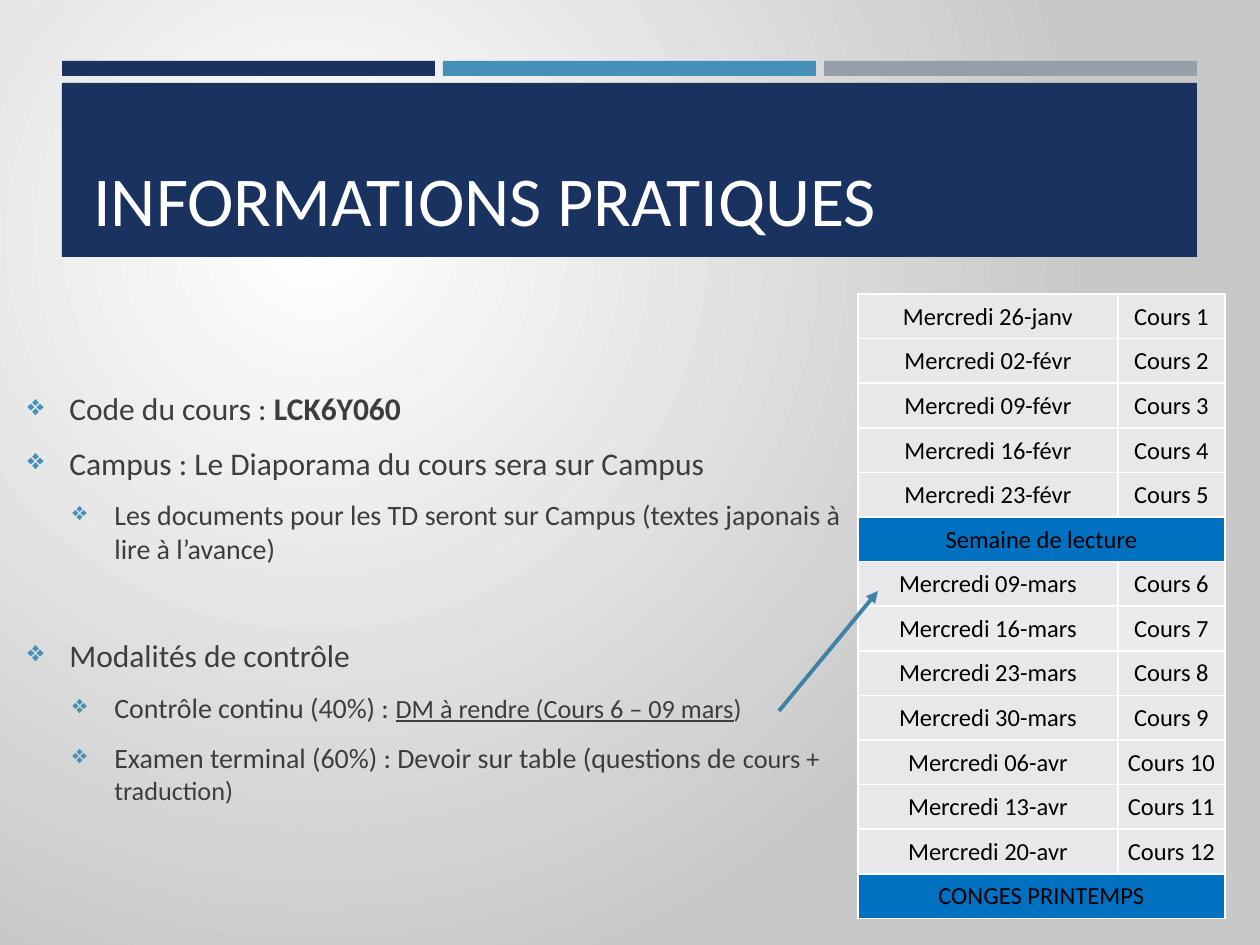
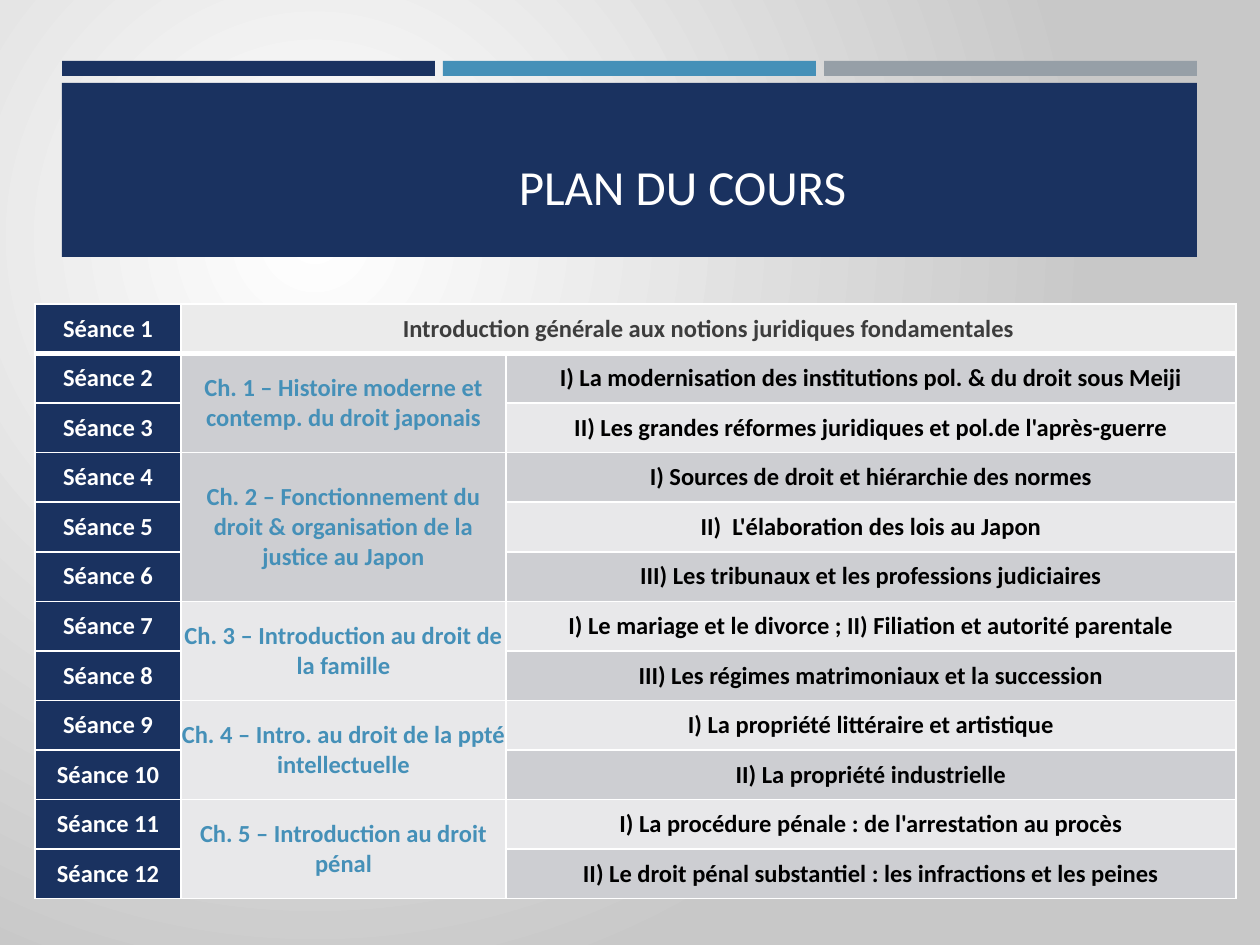
import pptx
import pptx.util
import pptx.dml.color
import pptx.enum.shapes
import pptx.enum.text
import pptx.oxml
import pptx.oxml.ns
import lxml.etree

FONT = "Calibri"
HUES = {
    "navy": "1A3260", "blue": "4590B8", "gray": "969FA7", "arrow": "3E82A6",
    "white": "FFFFFF", "edge": "C8C8C8", "ink": "3D3D3D", "black": "000000",
    "break": "0070C0", "light": "E8E8EA", "dark": "CDCED2", "pale": "EBEBEB",
}
ALIGN = pptx.enum.text.PP_ALIGN
ANCHOR = pptx.enum.text.MSO_ANCHOR

NOTES = [
    (0, 0, [("Code du cours : ", 18, ""), ("LCK6Y060", 18, "b")]),
    (0, 0, [("Campus : Le Diaporama du cours sera sur Campus", 18, "")]),
    (1, 0, [("Les documents pour les TD seront sur Campus (textes japonais à "
             "lire à l’avance)", 16, "")]),
    (0, 31, [("Modalités de contrôle", 18, "")]),
    (1, 0, [("Contrôle continu (40%) : ", 16, ""),
            ("DM à rendre (Cours 6 – 09 mars", 15, "u"), (")", 15, "")]),
    (1, 0, [("Examen terminal (60%) : Devoir sur table (questions de ", 16, ""),
            ("cours + traduction)", 15, "")]),
]
DATES = ["26-janv", "02-févr", "09-févr", "16-févr", "23-févr", "Semaine de lecture",
         "09-mars", "16-mars", "23-mars", "30-mars", "06-avr", "13-avr", "20-avr",
         "CONGES PRINTEMPS"]
INTRO = "Introduction générale aux notions juridiques fondamentales"
PLAN = [
    ("Ch. 1 – Histoire moderne et contemp. du droit japonais", [
        "I) La modernisation des institutions pol. & du droit sous Meiji",
        "II) Les grandes réformes juridiques et pol.de l'après-guerre"]),
    ("Ch. 2 – Fonctionnement du droit & organisation de la justice au Japon", [
        "I) Sources de droit et hiérarchie des normes",
        "II)  L'élaboration des lois au Japon",
        "III) Les tribunaux et les professions judiciaires"]),
    ("Ch. 3 – Introduction au droit de la famille", [
        "I) Le mariage et le divorce ; II) Filiation et autorité parentale",
        "III) Les régimes matrimoniaux et la succession"]),
    ("Ch. 4 – Intro. au droit de la ppté intellectuelle", [
        "I) La propriété littéraire et artistique",
        "II) La propriété industrielle"]),
    ("Ch. 5 – Introduction au droit pénal", [
        "I) La procédure pénale : de l'arrestation au procès",
        "II) Le droit pénal substantiel : les infractions et les peines"]),
]


def px(num):
    """Turn px at 126 to the inch into EMU."""
    return pptx.util.Emu(round(num * 914400 / 126))


def rgb(hue):
    """Look up a named colour."""
    return pptx.dml.color.RGBColor.from_string(HUES[hue])


def node(root, tag, **attrs):
    """Append a drawing element to root."""
    item = lxml.etree.SubElement(root, pptx.oxml.ns.qn(tag))
    for key, val in attrs.items():
        item.set(key, str(val))
    return item


def add_run(para, text, size, hue, style=""):
    """Add one run; style holds b for bold and u for underline."""
    run = para.add_run()
    run.text = text
    font = run.font
    font.name, font.size = FONT, pptx.util.Pt(size)
    font.bold, font.underline = "b" in style, "u" in style
    font.color.rgb = rgb(hue)


def add_bar(slide, box, hue):
    """Draw a plain filled band."""
    bar = slide.shapes.add_shape(
        pptx.enum.shapes.MSO_SHAPE.RECTANGLE, *map(px, box))
    bar.shadow.inherit = False
    bar.fill.solid()
    bar.fill.fore_color.rgb = rgb(hue)
    bar.line.fill.background()


def add_frame(slide, box, anchor):
    """Add a wrapping text box and return its frame."""
    frame = slide.shapes.add_textbox(*map(px, box)).text_frame
    frame.word_wrap = True
    frame.vertical_anchor = anchor
    return frame


def add_back(slide):
    """Give the slide its round gradient."""
    fill = slide.background.fill
    fill.gradient()
    for stop, hue in zip(fill.gradient_stops, ("white", "edge")):
        stop.color.rgb = rgb(hue)
    grad = slide.element.find(".//" + pptx.oxml.ns.qn("a:gradFill"))
    grad.remove(grad.find(pptx.oxml.ns.qn("a:lin")))
    ring = node(grad, "a:path", path="circle")
    node(ring, "a:fillToRect", l=50000, t=50000, r=100000, b=100000)


def add_page(deck, title, box, size, align):
    """Add a slide with backdrop, bands and title."""
    slide = deck.slides.add_slide(deck.slide_layouts[6])
    add_back(slide)
    for idx, hue in enumerate(("navy", "blue", "gray")):
        add_bar(slide, (62 + 381 * idx, 61, 373, 15), hue)
    add_bar(slide, (62, 83, 1135, 174), "navy")
    para = add_frame(slide, box, ANCHOR.BOTTOM).paragraphs[0]
    para.alignment = align
    add_run(para, title, size, "white")
    return slide


def add_notes(slide, box):
    """Write the bulleted course notes."""
    frame = add_frame(slide, box, ANCHOR.MIDDLE)
    for idx, (level, gap, runs) in enumerate(NOTES):
        para = frame.add_paragraph() if idx else frame.paragraphs[0]
        para.level = level
        para.space_before = pptx.util.Pt(3.5 + gap)
        para.space_after = pptx.util.Pt(6)
        props = para._p.get_or_add_pPr()
        props.set("marL", str(px(42 + 45 * level)))
        props.set("indent", str(-px(42)))
        node(node(props, "a:buClr"), "a:srgbClr", val=HUES["blue"])
        node(props, "a:buSzPct", val=92000)
        node(props, "a:buChar", char="❖")
        for text, size, style in runs:
            add_run(para, text, size, "ink", style)


def add_grid(slide, box, cols, count):
    """Add a table with equal rows and white rules."""
    grid = slide.shapes.add_table(count, len(cols), *map(px, box)).table
    grid.first_row = grid.horz_banding = False
    for col, wide in zip(grid.columns, cols):
        col.width = px(wide)
    for row in grid.rows:
        row.height = px(box[3] / count)
    for cell in grid.iter_cells():
        set_rules(cell)
    return grid


def set_rules(cell, **wide):
    """Rule a cell in white, 1 pt unless a side says otherwise."""
    props = cell._tc.get_or_add_tcPr()
    for idx, side in enumerate("LRTB"):
        tag = "a:ln" + side
        old = props.find(pptx.oxml.ns.qn(tag))
        if old is not None:
            props.remove(old)
        rule = node(props, tag, w=pptx.util.Pt(wide.get(side, 1)))
        node(node(rule, "a:solidFill"), "a:srgbClr", val=HUES["white"])
        props.insert(idx, rule)


def fill_cell(cell, text, fill, hue="black", style="", inset=0):
    """Colour a cell and centre its text."""
    cell.fill.solid()
    cell.fill.fore_color.rgb = rgb(fill)
    cell.vertical_anchor = ANCHOR.MIDDLE
    cell.margin_left = cell.margin_right = cell.margin_top = px(inset)
    cell.margin_bottom = 0
    para = cell.text_frame.paragraphs[0]
    para.alignment = ALIGN.CENTER
    add_run(para, text, 14, hue, style)


def add_dates(slide):
    """Fill the calendar, counting courses between the breaks."""
    grid = add_grid(slide, (858, 294, 367, 625), (260, 107), len(DATES))
    num = 0
    for row, date in enumerate(DATES):
        left, right = grid.cell(row, 0), grid.cell(row, 1)
        if "-" in date:
            num += 1
            fill = "pale" if num == 7 else "light"
            fill_cell(left, f"Mercredi {date}", fill, inset=1)
            fill_cell(right, f"Cours {num}", fill, inset=1)
        else:
            left.merge(right)
            fill_cell(left, date, "break", inset=1)


def add_arrow(slide, start, end):
    """Draw an arrow from start to end."""
    line = slide.shapes.add_connector(
        pptx.enum.shapes.MSO_CONNECTOR.STRAIGHT, *map(px, start + end))
    line.line.color.rgb = rgb("arrow")
    line.line.width = pptx.util.Pt(2.25)
    node(line.line._get_or_add_ln(), "a:tailEnd", type="triangle")
    node(line._element.spPr, "a:effectLst")


def add_plan(slide):
    """Fill the plan, one session a row and one merged cell a chapter."""
    count = 1 + sum(len(parts) for _, parts in PLAN)
    grid = add_grid(slide, (35, 304, 1201, 595), (146, 325, 730), count)
    for row in range(count):
        fill_cell(grid.cell(row, 0), f"Séance {row + 1}", "navy", "white", "b")
    grid.cell(0, 1).merge(grid.cell(0, 2))
    fill_cell(grid.cell(0, 1), INTRO, "pale", "ink", "b")
    for col in range(3):
        set_rules(grid.cell(0, col), B=3)
        set_rules(grid.cell(1, col), T=3)
    row = 1
    for name, parts in PLAN:
        head = grid.cell(row, 1)
        head.merge(grid.cell(row + len(parts) - 1, 1))
        fill_cell(head, name, "dark" if row % 2 else "light", "blue", "b")
        for part in parts:
            fill = "dark" if row % 2 else "light"
            fill_cell(grid.cell(row, 2), part, fill, style="b")
            row += 1


def main():
    """Build both slides and save the deck."""
    deck = pptx.Presentation()
    deck.slide_width, deck.slide_height = px(1260), px(945)
    info = add_page(deck, "INFORMATIONS PRATIQUES", (81, 98, 1101, 149), 40, ALIGN.LEFT)
    add_notes(info, (15, 275, 843, 645))
    add_dates(info)
    add_arrow(info, (779, 711), (878, 591))
    plan = add_page(deck, "PLAN DU COURS", (84, 106, 1197, 116), 28, ALIGN.CENTER)
    add_plan(plan)
    deck.save("out.pptx")


if __name__ == "__main__":
    main()
